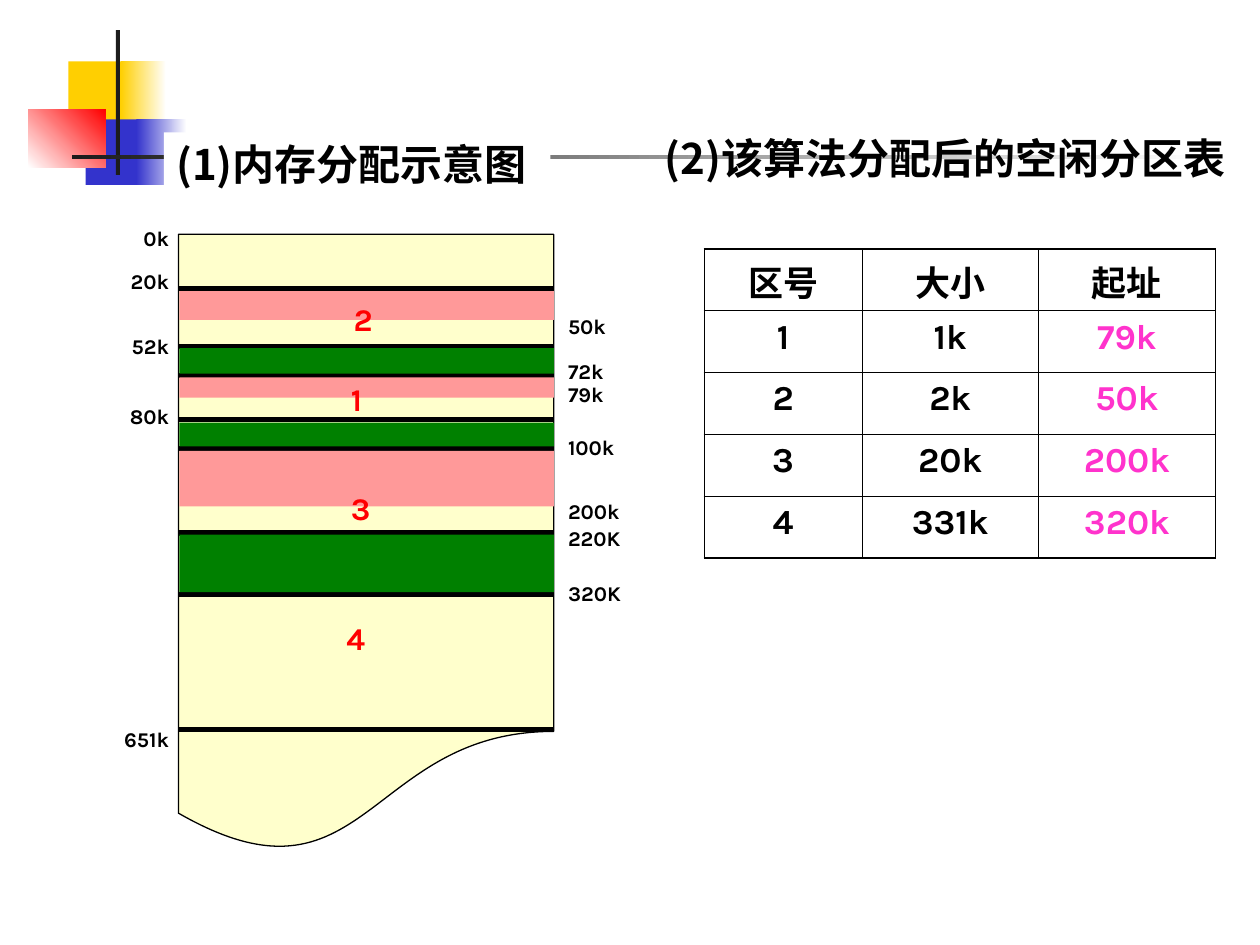
from lxml.etree import SubElement
from pptx import Presentation
from pptx.dml.color import RGBColor
from pptx.enum.shapes import MSO_CONNECTOR as Connector, MSO_SHAPE as Shape
from pptx.enum.text import MSO_ANCHOR as Anchor, PP_ALIGN as Align
from pptx.oxml import parse_xml
from pptx.oxml.ns import nsdecls, qn
from pptx.util import Pt

BLACK = RGBColor(0x00, 0x00, 0x00)
WHITE = RGBColor(0xFF, 0xFF, 0xFF)
CHARCOAL = RGBColor(0x1C, 0x1C, 0x1C)
YELLOW = RGBColor(0xFF, 0xCF, 0x01)
BLUE = RGBColor(0x33, 0x33, 0xCC)
RED = RGBColor(0xFF, 0x00, 0x00)
CREAM = RGBColor(0xFF, 0xFF, 0xCC)
GREEN = RGBColor(0x00, 0x80, 0x00)
PINK = RGBColor(0xFF, 0x99, 0x99)
MAGENTA = RGBColor(0xFF, 0x33, 0xCC)

HAN, LATIN = "Noto Sans CJK SC", "Karla"
TITLE = {"size": Pt(24), "name": HAN, "bold": True}
CELL = {"size": Pt(20), "name": LATIN, "bold": True}
ZONE = {"size": Pt(18), "name": LATIN, "bold": True}
ADDRESS = {"size": Pt(12), "name": LATIN, "bold": True}

ADDRESS_PITCH = 13      # exact line height of an address label
ADDRESS_MIDDLE = 6.2    # from the top of that line to the middle of its digits
OUTER, INNER = 1.08, 0.45


class SlideBuilder:
    def __init__(self, slide):
        self.slide = slide
        self.shapes = slide.shapes

    def fill_paragraph(self, paragraph, text, style, color=BLACK, align=Align.LEFT):
        paragraph.alignment = align
        run = paragraph.add_run()
        run.text = text
        for key, value in style.items():
            setattr(run.font, key, value)
        run.font.color.rgb = color
        SubElement(run._r.get_or_add_rPr(), qn("a:ea"), typeface=HAN)

    def block(self, box, color, fade_to=None, angle=0, kind=Shape.RECTANGLE, outline=None):
        """Draw a filled shape; with fade_to the fill runs from color to fade_to."""
        shape = self.shapes.add_shape(kind, *map(Pt, box))
        shape.shadow.inherit = False
        if fade_to is None:
            shape.fill.solid()
            shape.fill.fore_color.rgb = color
        else:
            shape.fill.gradient()
            shape.fill.gradient_angle = angle
            for stop, shade in zip(shape.fill.gradient_stops, (color, fade_to)):
                stop.color.rgb = shade
        if outline is None:
            shape.line.fill.background()
        else:
            shape.line.color.rgb = outline
            shape.line.width = Pt(0.75)
        return shape

    def rule(self, left, right, y):
        line = self.shapes.add_connector(Connector.STRAIGHT, Pt(left), Pt(y), Pt(right), Pt(y))
        line.line.color.rgb = BLACK
        line.line.width = Pt(3)
        SubElement(line._element.spPr, qn("a:effectLst"))

    def text(self, box, content, style, color=BLACK, align=Align.LEFT, wrap=True):
        frame = self.shapes.add_textbox(*map(Pt, box)).text_frame
        frame.word_wrap = wrap
        self.fill_paragraph(frame.paragraphs[0], content, style, color, align)

    def addresses(self, box, labels, align):
        """Stack labels in one box, each with its digits centred on its own height."""
        frame = self.shapes.add_textbox(*map(Pt, box)).text_frame
        frame.word_wrap = True
        previous = None
        for label, middle in labels:
            if previous is None:
                paragraph = frame.paragraphs[0]
                frame.margin_top = Pt(middle - ADDRESS_MIDDLE - box[1])
            else:
                paragraph = frame.add_paragraph()
                paragraph.space_before = Pt(middle - previous - ADDRESS_PITCH)
            paragraph.line_spacing = Pt(ADDRESS_PITCH)
            self.fill_paragraph(paragraph, label, ADDRESS, align=align)
            previous = middle

    def table(self, box, widths, rows):
        table = self.shapes.add_table(len(rows), len(widths), *map(Pt, box)).table
        table.first_row = table.horz_banding = False
        for column, width in zip(table.columns, widths):
            column.width = Pt(width)
        last_row, last_column = len(rows) - 1, len(widths) - 1
        for r, row in enumerate(rows):
            table.rows[r].height = Pt(box[3] / len(rows))
            for c, value in enumerate(row):
                cell = table.cell(r, c)
                cell.vertical_anchor = Anchor.TOP
                cell.fill.background()
                color = MAGENTA if r and c == last_column else BLACK
                self.fill_paragraph(cell.text_frame.paragraphs[0], value, CELL, color,
                                    Align.CENTER)
                self.borders(cell, {"L": c == 0, "R": c == last_column,
                                    "T": r == 0, "B": r == last_row})

    def borders(self, cell, outer_sides):
        for place, (side, is_outer) in enumerate(outer_sides.items()):
            width = Pt(OUTER if is_outer else INNER)
            cell._tc.get_or_add_tcPr().insert(place, parse_xml(
                f'<a:ln{side} w="{width}" {nsdecls("a")}><a:solidFill>'
                f'<a:srgbClr val="{BLACK}"/></a:solidFill></a:ln{side}>'))


def main():
    deck = Presentation()
    deck.slide_width, deck.slide_height = Pt(720), Pt(540)
    page = SlideBuilder(deck.slides.add_slide(deck.slide_layouts[6]))

    # Corner decoration
    page.block((39, 35, 34.5, 37.5), YELLOW)
    page.block((69, 35, 26, 37.5), YELLOW, WHITE)
    page.block((49, 68.2, 33, 37.5), BLUE)
    page.block((78, 68.2, 28.8, 37.5), BLUE, WHITE)
    page.block((16.3, 62.4, 44, 33.4), WHITE, RED, angle=45)
    page.block((66.2, 17.2, 2.4, 82.8), CHARCOAL)
    page.block((41, 88.5, 648, 2.5), CHARCOAL, WHITE)

    # Free partition table
    page.text((360, 72, 360, 36), "(2)该算法分配后的空闲分区表", TITLE, align=Align.CENTER)
    page.table((402.5, 142.3, 292, 176.5), (90, 101, 101), [
        ("区号", "大小", "起址"),
        ("1", "1k", "79k"),
        ("2", "2k", "50k"),
        ("3", "20k", "200k"),
        ("4", "331k", "320k"),
    ])

    # Memory map
    heading = page.block((93.6, 75.6, 221, 64.8), WHITE)
    heading.text_frame.vertical_anchor = Anchor.TOP
    page.fill_paragraph(heading.text_frame.paragraphs[0], "(1)内存分配示意图", TITLE)

    left, width = 102.5, 214
    page.block((left - 0.5, 133.9, width + 0.4, 354.2), CREAM,
               kind=Shape.FLOWCHART_DOCUMENT, outline=BLACK)
    for boundary in (164.9, 198, 214.6, 239.8, 256.3, 304.6, 339.8, 416.9):
        page.rule(left, left + width, boundary)
    bands = [
        (GREEN, 199, 14.6), (GREEN, 241.6, 13.5), (GREEN, 305.5, 33),
        (PINK, 166.4, 16.4), (PINK, 215.6, 11.6), (PINK, 257.7, 31.7),
    ]
    for color, top, height in bands:
        page.block((left, top, width, height), color)
    zones = [("2", 195, 167.8), ("1", 193.5, 213.8), ("3", 193.5, 275.8), ("4", 190.8, 350)]
    for number, x, y in zones:
        page.text((x, y, 24.5, 28.8), number, ZONE, RED, wrap=False)

    page.addresses((14.4, 123.8, 89.3, 309.6), [
        ("0k", 136.6), ("20k", 161.2), ("52k", 198.3), ("80k", 238.3), ("651k", 423),
    ], Align.RIGHT)
    page.addresses((317.5, 167, 65.5, 182.9), [
        ("50k", 187), ("72k", 212.6), ("79k", 225.8), ("100k", 256.2),
        ("200k", 292.6), ("220K", 308), ("320K", 339.5),
    ], Align.LEFT)

    deck.save("out.pptx")


if __name__ == "__main__":
    main()
